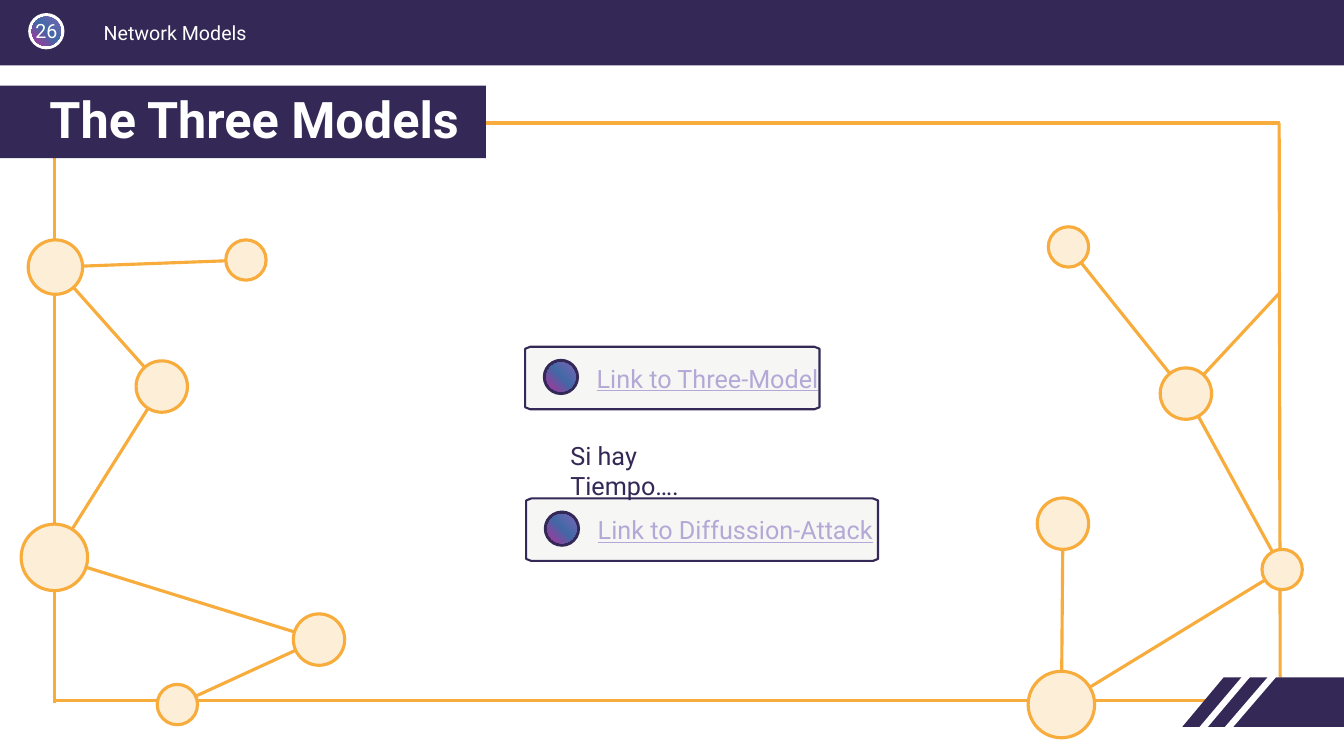
from copy import deepcopy

from pptx import Presentation
from pptx.dml.color import RGBColor
from pptx.enum.shapes import MSO_CONNECTOR as Connector, MSO_SHAPE as Preset
from pptx.enum.text import MSO_ANCHOR as Anchor, MSO_AUTO_SIZE as AutoSize, PP_ALIGN as Align
from pptx.oxml.ns import qn
from pptx.util import Inches, Pt

CELL = Inches(0.1)
COLUMNS, ROWS = 133.33, 75
NAVY, ORANGE, CREAM, WHITE = "342956", "F7AC3B", "FDEED8", "FFFFFF"
PALE, LILAC = "F6F6F5", "B4A9D6"
GLOW = [(0, "7864B5"), (0.49, "4269A5"), (1, "B2329A")]

NODES = {
    "hub": (5.5, 26.5, 5.4), "spoke": (24.4, 25.8, 4), "bend": (16.05, 38.35, 5.1),
    "root": (5.4, 55.3, 6.6), "leaf": (31.65, 63.45, 5.1), "base": (17.6, 69.9, 4),
    "tip": (106, 24.5, 4), "fork": (117.65, 39.05, 5.1), "mid": (105.45, 51.95, 5.1),
    "foot": (105.3, 69.9, 6.6), "edge": (127.2, 56.5, 4),
}
LINKS = [("root", "bend"), ("bend", "hub"), ("hub", "spoke"), ("root", "leaf"),
         ("base", "leaf"), ("tip", "fork"), ("mid", "foot"), ("foot", "edge"),
         ("edge", "fork")]
FRAME = [((127, 67.2), (126.9, 12.2)), ((5.4, 69.7), (5.4, 15.3)),
         ((5.3, 69.5), (121, 69.5)), ((5.4, 12.2), (127, 12.2))]
STRIPES = [((118.5, 73.2), (124.5, 66.1)), ((121, 73.2), (126.5, 66.8))]
BUTTONS = [(52.1, 34.4, 29.2, "Link to Three-Model"),
           (52.2, 49.45, 34.9, "Link to Diffussion-Attack")]


def grid(*cells):
    """Turn grid columns or rows into lengths."""
    return [round(cell * CELL) for cell in cells]


def colour(value):
    """Turn a hex string into a colour."""
    return RGBColor.from_string(value)


def set_values(target, values):
    """Set every attribute named in a dict."""
    for name, value in values.items():
        setattr(target, name, value)


def paint(shape, fill, line=None, width=1.5):
    """Give a shape a flat fill and an optional outline."""
    shape.shadow.inherit = False
    shape.fill.solid()
    shape.fill.fore_color.rgb = colour(fill)
    if line:
        shape.line.color.rgb = colour(line)
        shape.line.width = Pt(width)
    else:
        shape.line.fill.background()
    return shape


def write(shape, text, size, ink, margins=(1, 0.5, 1, 0.5), anchor=Anchor.TOP,
          para_format=None, **font_format):
    """Put one formatted paragraph into a shape."""
    left, top, right, bottom = grid(*margins)
    frame = shape.text_frame
    set_values(frame, {"margin_left": left, "margin_top": top, "margin_right": right,
                       "margin_bottom": bottom, "word_wrap": True,
                       "auto_size": AutoSize.NONE, "vertical_anchor": anchor})
    para = frame.paragraphs[0]
    set_values(para, {"alignment": Align.LEFT, **(para_format or {})})
    span = para.add_run()
    span.text = text
    set_values(span.font, {"name": "Roboto", "size": Pt(size), **font_format})
    span.font.color.rgb = colour(ink)


def add_line(page, start, end, ink=ORANGE, width=2.25):
    """Draw a straight line between two grid points."""
    line = page.shapes.add_connector(Connector.STRAIGHT, *grid(*start, *end))
    line.line.color.rgb = colour(ink)
    line.line.width = Pt(width)
    properties = line.element.find(qn("p:spPr"))
    properties.append(properties.makeelement(qn("a:effectLst"), {}))


def add_circle(page, x, y, size, fill, line=None, width=2.25):
    """Draw a circle around a grid point."""
    corner = grid(x - size / 2, y - size / 2, size, size)
    return paint(page.shapes.add_shape(Preset.OVAL, *corner), fill, line, width)


def add_badge(page, x, y, rim):
    """Draw a rimmed circle with a diagonal gradient."""
    add_circle(page, x, y, 3.6, rim)
    disc = add_circle(page, x, y, 2.9, NAVY)
    disc.fill.gradient()
    disc.fill.gradient_angle = 225
    stops = disc.element.find(".//" + qn("a:gsLst"))
    stops.insert(1, deepcopy(stops[0]))
    for stop, (position, tone) in zip(disc.fill.gradient_stops, GLOW):
        stop.position = position
        stop.color.rgb = colour(tone)


def add_outline(page, points, fill, line=None):
    """Draw a closed polygon through grid points."""
    corners = [grid(*point) for point in points]
    builder = page.shapes.build_freeform(*corners[0])
    builder.add_line_segments(corners[1:], close=True)
    return paint(builder.convert_to_shape(), fill, line)


def add_text(page, box, text, size, ink, **options):
    """Add a text box on the grid."""
    write(page.shapes.add_textbox(*grid(*box)), text, size, ink, **options)


def add_button(page, left, top, width, text):
    """Draw a labelled button with softened corners and a badge."""
    right, bottom, cut, drop = left + width, top + 6.2, 0.5, 0.2
    points = [(left + cut, top), (right - cut, top), (right, top + drop),
              (right, bottom - drop), (right - cut, bottom), (left + cut, bottom),
              (left, bottom - drop), (left, top + drop)]
    button = add_outline(page, points, PALE, NAVY)
    write(button, text, 18, LILAC, margins=(7.1, 0, 0, 0), anchor=Anchor.MIDDLE,
          underline=True)
    add_badge(page, left + 3.55, top + 3, NAVY)


def add_header(page):
    """Draw the top band with its page badge and section name."""
    band = page.shapes.add_shape(Preset.RECTANGLE, *grid(0, 0, COLUMNS, 6.5))
    paint(band, NAVY)
    add_badge(page, 4.6, 3.1, WHITE)
    add_text(page, (9.3, 1.6, 56.1, 3), "Network Models", 14, WHITE)
    add_text(page, (2.8, 1.9, 3.6, 2.4), "26", 14, WHITE, margins=(0, 0, 0, 0),
             para_format={"alignment": Align.CENTER})


def add_frame(page):
    """Draw the orange frame and its striped corner."""
    for start, end in FRAME:
        add_line(page, start, end)
    add_outline(page, [(121.4, 67.2), (COLUMNS, 67.2), (COLUMNS, 72.1), (117.3, 72.1)], NAVY)
    for start, end in STRIPES:
        add_line(page, start, end, WHITE, 4.5)


def add_title(page, text):
    """Place the title on its dark plate above the frame."""
    title = page.shapes.title
    set_values(title, dict(zip(("left", "top", "width", "height"), grid(0, 8.5, 48.2, 7.2))))
    title.fill.solid()
    title.fill.fore_color.rgb = colour(NAVY)
    write(title, text, 36, WHITE, margins=(4.9, 0.5, 1, 0.5), anchor=Anchor.MIDDLE,
          para_format={"line_spacing": 0.9}, bold=True)
    title.element.getparent().append(title.element)


def add_network(page):
    """Draw the links and then the nodes over them."""
    for start, end in LINKS:
        add_line(page, NODES[start][:2], NODES[end][:2])
    add_line(page, NODES["fork"][:2], (126.9, 29.1))
    for x, y, size in NODES.values():
        add_circle(page, x, y, size, CREAM, ORANGE)


def main():
    """Build and save the slide."""
    deck = Presentation()
    deck.slide_width, deck.slide_height = grid(COLUMNS, ROWS)
    page = deck.slides.add_slide(deck.slide_layouts[5])
    add_header(page)
    add_frame(page)
    add_title(page, "The Three Models")
    add_network(page)
    for button in BUTTONS:
        add_button(page, *button)
    add_text(page, (55.6, 43.2, 18.7, 4), "Si hay Tiempo….", 18, NAVY)
    deck.save("out.pptx")


if __name__ == "__main__":
    main()
